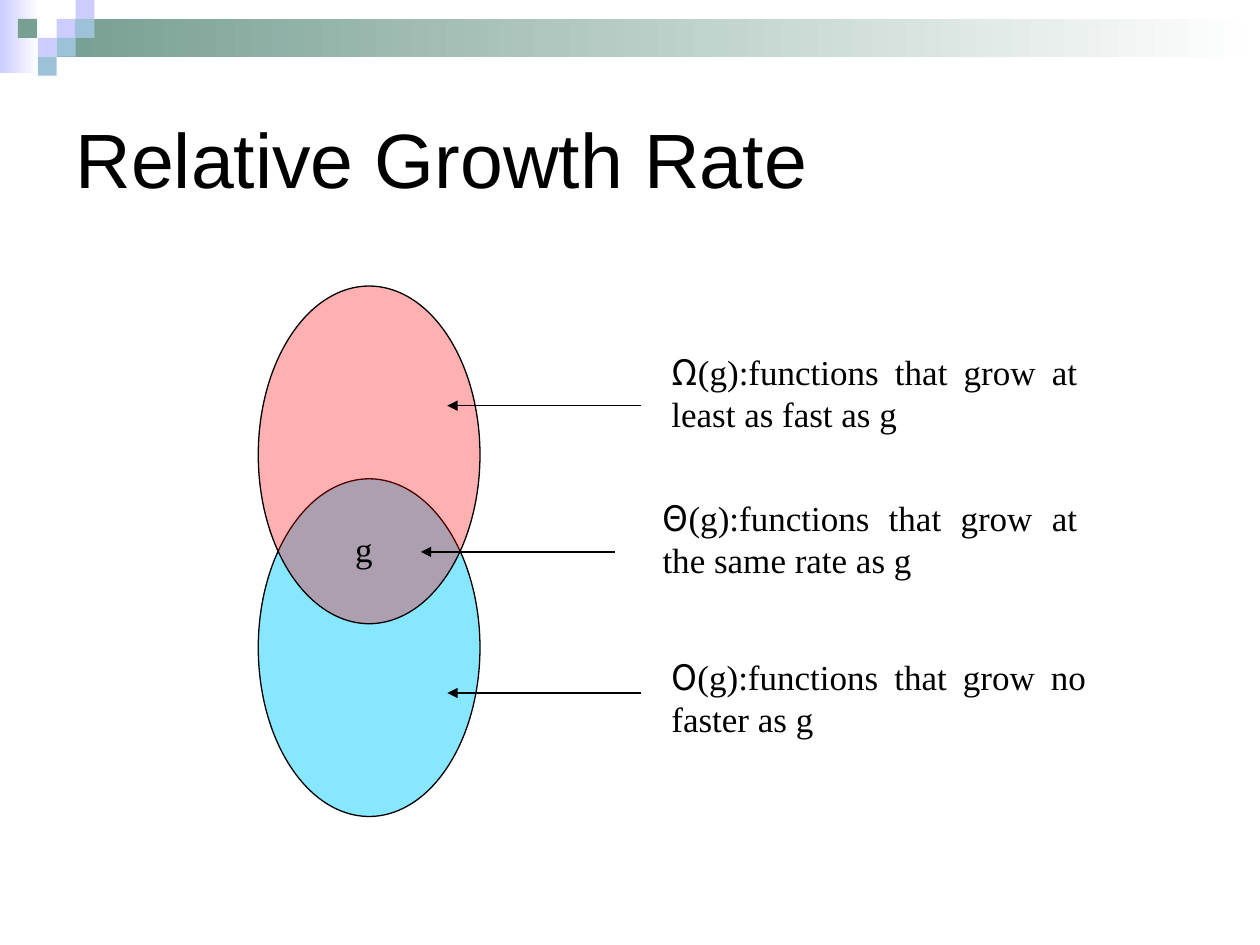
from lxml.etree import SubElement
from pptx import Presentation
from pptx.dml.color import RGBColor
from pptx.enum.shapes import MSO_CONNECTOR, MSO_SHAPE
from pptx.enum.text import MSO_ANCHOR, PP_ALIGN
from pptx.oxml.ns import qn
from pptx.util import Inches, Pt

BLACK = RGBColor(0, 0, 0)
WHITE = RGBColor(255, 255, 255)
LILAC = RGBColor(0xCC, 0xCC, 0xFF)
SAGE = RGBColor(0x77, 0x9F, 0x92)
SKY = RGBColor(0x9D, 0xC2, 0xD7)
CYAN = RGBColor(0, 0xCC, 0xFF)
RED = RGBColor(255, 0, 0)
SERIF, GREEK = "Times New Roman", "Noto Sans CJK SC"

TITLE = "Relative Growth Rate"
TILE = 0.15
BANDS = [(0, 0, 0.31, 0.58, LILAC), (0.45, TILE, 9.55, 0.3, SAGE)]
TILES = [(3, 1, LILAC), (4, 0, LILAC), (4, 1, SKY), (2, 2, LILAC),
         (0.95, 1, SAGE), (3, 2, SKY), (2, 3, SKY)]
OVALS = [(3.8, CYAN, 47), (2.27, RED, 31)]
LABELS = [
    (2.72, 4.14, 0.66, 0.96, [("g", SERIF)]),
    (5.23, 2.73, 3.42, 1.05,
     [("Ω", GREEK), ("(g):functions that grow at least as fast as g", SERIF)]),
    (5.16, 3.89, 3.49, 1.05,
     [("Θ", GREEK), ("(g):functions that grow at the same rate as g", SERIF)]),
    (5.23, 5.15, 3.49, 1.05,
     [("Ο", GREEK), ("(g):functions that grow no faster as g", SERIF)]),
]
ARROWS = [(5.09, 3.22), (4.88, 4.38), (5.09, 5.5)]
REACH = 1.54


def add_run(para, text, font, size):
    run = para.add_run()
    run.text = text
    run.font.name = font
    run.font.size = Pt(size)
    run.font.color.rgb = BLACK


def add_form(slide, kind, *box):
    form = slide.shapes.add_shape(kind, *map(Inches, box))
    form.shadow.inherit = False
    return form


def add_band(slide, x, y, w, h, color):
    band = add_form(slide, MSO_SHAPE.RECTANGLE, x, y, w, h)
    band.line.fill.background()
    band.fill.gradient()
    band.fill.gradient_angle = 0
    for stop, tone in zip(band.fill.gradient_stops, (color, WHITE)):
        stop.color.rgb = tone


def add_tile(slide, col, row, color):
    tile = add_form(slide, MSO_SHAPE.RECTANGLE, col * TILE, row * TILE, TILE, TILE)
    tile.line.fill.background()
    tile.fill.solid()
    tile.fill.fore_color.rgb = color


def add_oval(slide, top, color, alpha):
    oval = add_form(slide, MSO_SHAPE.OVAL, 2.05, top, 1.76, 2.68)
    oval.fill.solid()
    oval.fill.fore_color.rgb = color
    tint = oval._element.spPr.find(qn("a:solidFill"))[0]
    SubElement(tint, qn("a:alpha"), val=str(alpha * 1000))
    oval.line.color.rgb = BLACK
    oval.line.width = Pt(0.75)


def add_title(slide):
    title = slide.shapes.title
    title.left, title.top = Inches(0.5), Inches(0.5)
    title.width, title.height = Inches(9), Inches(1.5)
    title.text_frame.vertical_anchor = MSO_ANCHOR.MIDDLE
    para = title.text_frame.paragraphs[0]
    para.alignment = PP_ALIGN.LEFT
    add_run(para, TITLE, "Arial", 44)


def add_label(slide, x, y, w, h, runs):
    frame = slide.shapes.add_textbox(*map(Inches, (x, y, w, h))).text_frame
    frame.word_wrap = True
    para = frame.paragraphs[0]
    para.alignment = PP_ALIGN.JUSTIFY
    for text, font in runs:
        add_run(para, text, font, 20)


def add_arrow(slide, x, y):
    ends = map(Inches, (x, y, x - REACH, y))
    arrow = slide.shapes.add_connector(MSO_CONNECTOR.STRAIGHT, *ends)
    arrow.line.color.rgb = BLACK
    arrow.line.width = Pt(0.75)
    SubElement(arrow.line._get_or_add_ln(), qn("a:tailEnd"), type="triangle")
    SubElement(arrow._element.spPr, qn("a:effectLst"))


def main():
    deck = Presentation()
    deck.slide_width, deck.slide_height = Inches(10), Inches(7.5)
    slide = deck.slides.add_slide(deck.slide_layouts[5])
    add_title(slide)
    for add, items in ((add_band, BANDS), (add_tile, TILES), (add_oval, OVALS),
                       (add_label, LABELS), (add_arrow, ARROWS)):
        for item in items:
            add(slide, *item)
    deck.save("out.pptx")


if __name__ == "__main__":
    main()
